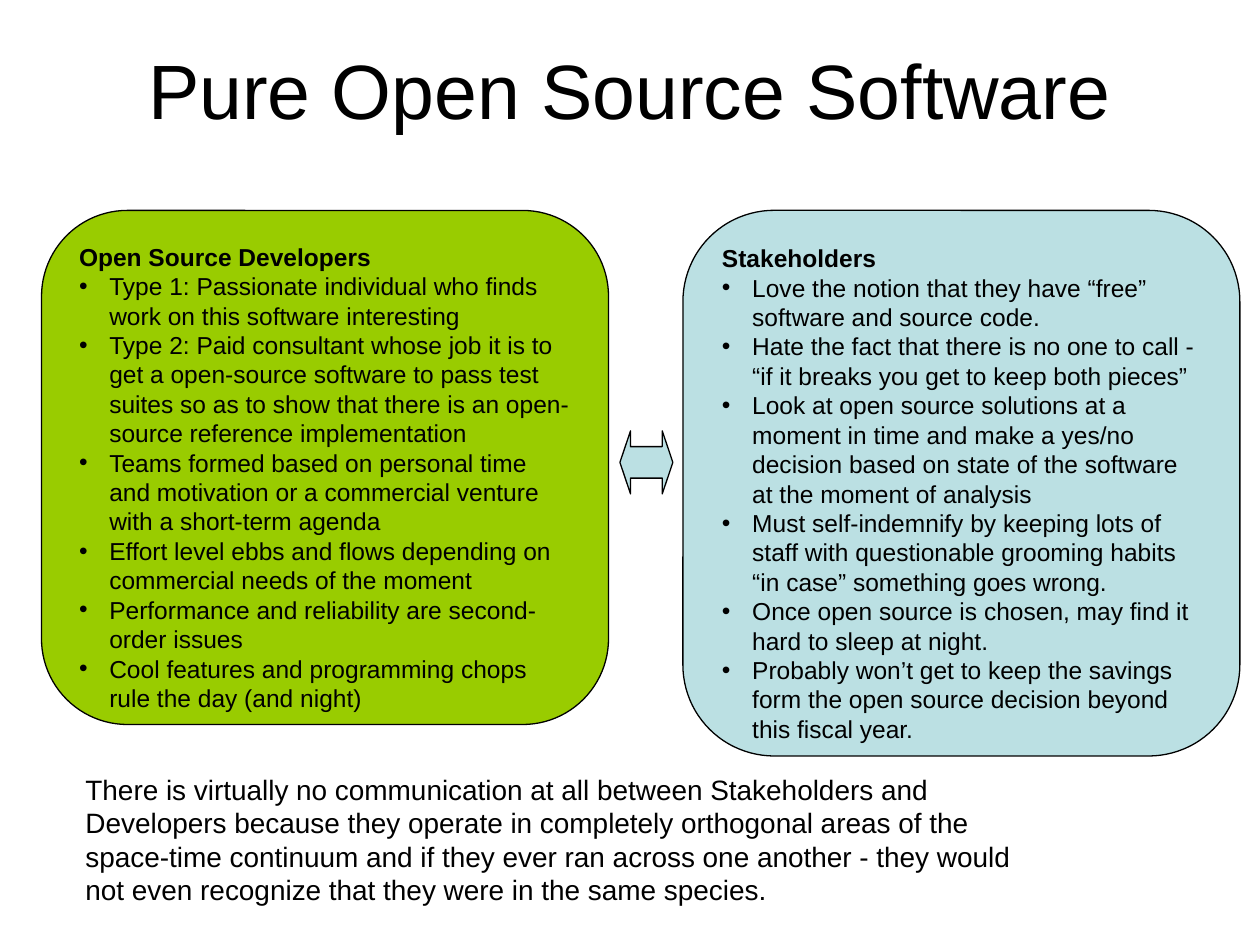
from dataclasses import dataclass

from pptx import Presentation
from pptx.dml.color import RGBColor
from pptx.enum.shapes import MSO_SHAPE
from pptx.enum.text import MSO_ANCHOR, PP_ALIGN
from pptx.oxml.ns import qn
from pptx.util import Inches, Pt
from lxml.etree import SubElement

COLORS = {"text": "000000", "developers": "99CC00", "stakeholders": "BBE0E3"}
FONT = "Arial"
BULLET_INDENT = Inches(0.24)
LINE_PITCH = 1.2  # line height as a multiple of the text size


@dataclass
class Box:
    left: float
    top: float
    width: float
    height: float

    def lengths(self) -> tuple:
        return tuple(Inches(v) for v in (self.left, self.top, self.width, self.height))


@dataclass
class Panel:
    box: Box
    color: str
    heading: str
    bullets: list[str]


PANELS = [
    Panel(Box(0.33, 1.67, 4.5, 4.08), "developers", "Open Source Developers", [
        "Type 1: Passionate individual who finds work on this software interesting",
        "Type 2: Paid consultant whose job it is to get a open-source software to pass "
        "test suites so as to show that there is an open-source reference implementation",
        "Teams formed based on personal time and motivation or a commercial venture "
        "with a short-term agenda",
        "Effort level ebbs and flows depending on commercial needs of the moment",
        "Performance and reliability are second-order issues",
        "Cool features and programming chops rule the day (and night)",
    ]),
    Panel(Box(5.42, 1.67, 4.42, 4.33), "stakeholders", "Stakeholders", [
        "Love the notion that they have “free” software and source code.",
        "Hate the fact that there is no one to call - “if it breaks you get to keep "
        "both pieces”",
        "Look at open source solutions at a moment in time and make a yes/no decision "
        "based on state of the software at the moment of analysis",
        "Must self-indemnify by keeping lots of staff with questionable grooming habits "
        "“in case” something goes wrong.",
        "Once open source is chosen, may find it hard to sleep at night.",
        "Probably won’t get to keep the savings form the open source decision beyond "
        "this fiscal year.",
    ]),
]
CONCLUSION = (
    "There is virtually no communication at all between Stakeholders and Developers "
    "because they operate in completely orthogonal areas of the space-time continuum "
    "and if they ever ran across one another - they would not even recognize that they "
    "were in the same species."
)


def rgb(name: str) -> RGBColor:
    return RGBColor.from_string(COLORS[name])


def format_paragraph(paragraph, size: int, bold: bool = False, align=PP_ALIGN.LEFT) -> None:
    paragraph.alignment = align
    paragraph.line_spacing = Pt(size * LINE_PITCH)
    for run in paragraph.runs:
        run.font.name = FONT
        run.font.size = Pt(size)
        run.font.bold = bold
        run.font.color.rgb = rgb("text")


def add_bullet(paragraph) -> None:
    properties = paragraph._p.get_or_add_pPr()
    properties.set("marL", str(BULLET_INDENT))
    properties.set("indent", str(-BULLET_INDENT))
    SubElement(properties, qn("a:buFont")).set("typeface", FONT)
    SubElement(properties, qn("a:buChar")).set("char", "•")


def add_text(slide, box: Box, text: str, size: int, align=PP_ALIGN.LEFT,
             anchor=MSO_ANCHOR.TOP) -> None:
    text_frame = slide.shapes.add_textbox(*box.lengths()).text_frame
    text_frame.word_wrap = True
    text_frame.vertical_anchor = anchor
    text_frame.text = text
    format_paragraph(text_frame.paragraphs[0], size, align=align)


def add_outlined_shape(slide, kind, box: Box, color: str, adjustments: list[float]):
    shape = slide.shapes.add_shape(kind, *box.lengths())
    shape.shadow.inherit = False
    shape.fill.solid()
    shape.fill.fore_color.rgb = rgb(color)
    shape.line.color.rgb = rgb("text")
    shape.line.width = Pt(0.75)
    for index, value in enumerate(adjustments):
        shape.adjustments[index] = value
    return shape


def add_panel(slide, panel: Panel) -> None:
    shape = add_outlined_shape(slide, MSO_SHAPE.ROUNDED_RECTANGLE, panel.box, panel.color, [0.167])
    text_frame = shape.text_frame
    text_frame.word_wrap = True
    text_frame.vertical_anchor = MSO_ANCHOR.TOP
    text_frame.text = "\n".join([panel.heading, *panel.bullets])
    heading, *bullets = text_frame.paragraphs
    format_paragraph(heading, 14, bold=True)
    for paragraph in bullets:
        add_bullet(paragraph)
        format_paragraph(paragraph, 14)


def main() -> None:
    presentation = Presentation()
    presentation.slide_width = Inches(10)
    presentation.slide_height = Inches(7.5)
    slide = presentation.slides.add_slide(presentation.slide_layouts[6])

    add_text(slide, Box(0.75, 0.08, 8.5, 1.25), "Pure Open Source Software", 44,
             PP_ALIGN.CENTER, MSO_ANCHOR.MIDDLE)
    for panel in PANELS:
        add_panel(slide, panel)
    add_outlined_shape(slide, MSO_SHAPE.LEFT_RIGHT_ARROW, Box(4.92, 3.42, 0.42, 0.5),
                       "stakeholders", [0.5, 0.2])
    add_text(slide, Box(0.58, 6.08, 7.83, 1.17), CONCLUSION, 16)

    presentation.save("out.pptx")


if __name__ == "__main__":
    main()
